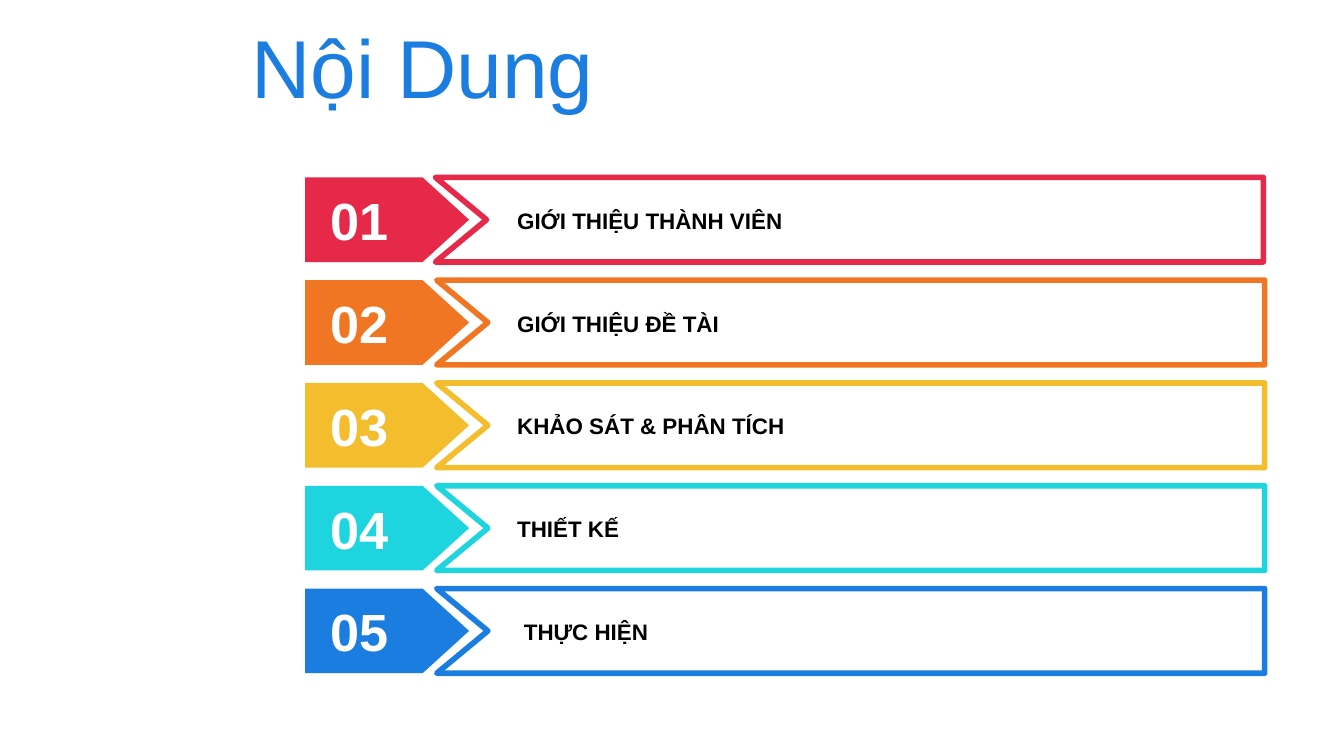
import pptx
import pptx.dml.color
import pptx.enum.shapes
import pptx.enum.text
import pptx.util

WIDTH = 10
HEIGHT = WIDTH * 9 / 16
FIRST_TOP, LAST_TOP, ROW_HEIGHT = 1.32, 4.38, 0.63
ROW_LEFT, ROW_WIDTH = 2.27, 7.14
AGENDA = [
    ("GIỚI THIỆU THÀNH VIÊN", "E62949", -0.01, 0),
    ("GIỚI THIỆU ĐỀ TÀI", "F07624", 0, 0),
    ("KHẢO SÁT & PHÂN TÍCH", "F4BD2D", 0, 0),
    ("THIẾT KẾ", "1ED4DE", 0, 0),
    ("THỰC HIỆN", "1C7DE1", 0, 0.05),
]


def inches(*lengths):
    """Turn lengths in inches into slide units."""
    return [pptx.util.Inches(length) for length in lengths]


def colour(value):
    """Turn a hex string into a colour."""
    return pptx.dml.color.RGBColor.from_string(value)


def write(box, text, size, ink, bold=False, margin=0.05):
    """Put one formatted, left-aligned line of text in a box."""
    frame = box.text_frame
    frame.word_wrap = True
    frame.auto_size = pptx.enum.text.MSO_AUTO_SIZE.NONE
    frame.vertical_anchor = pptx.enum.text.MSO_ANCHOR.MIDDLE
    frame.margin_left, frame.margin_right = inches(0.1, 0.1)
    frame.margin_top, frame.margin_bottom = inches(margin, margin)
    para = frame.paragraphs[0]
    para.alignment = pptx.enum.text.PP_ALIGN.LEFT
    span = para.add_run()
    span.text = text
    span.font.name = "Arial"
    span.font.size = pptx.util.Pt(size)
    span.font.bold = bold
    span.font.color.rgb = colour(ink)


def add_title(page, left, top, width, height):
    """Place the slide title in the given box."""
    title = page.shapes.title
    title.left, title.top, title.width, title.height = inches(left, top, width, height)
    write(title, "Nội Dung", 44, "1C7DE1")


def add_row(page, left, top, width, height, number, label, tint, frame_shift, label_shift):
    """Place one agenda row: numbered arrow, notched frame and label."""
    arrow = page.shapes.add_shape(
        pptx.enum.shapes.MSO_SHAPE.PENTAGON, *inches(left, top, 1.22, height))
    arrow.adjustments[0] = 0.549
    arrow.shadow.inherit = False
    arrow.fill.solid()
    arrow.fill.fore_color.rgb = colour(tint)
    arrow.line.fill.background()

    start, end = left + 0.98 + frame_shift, left + width + frame_shift
    bottom = top + height
    outline = page.shapes.build_freeform(*inches(start, top), scale=1.0)
    corners = [(end, top), (end, bottom), (start, bottom), (start + 0.38, top + height / 2)]
    outline.add_line_segments([inches(*corner) for corner in corners], close=True)
    notched = outline.convert_to_shape()
    notched.shadow.inherit = False
    notched.fill.solid()
    notched.fill.fore_color.rgb = colour("FFFFFF")
    notched.line.color.rgb = colour(tint)
    notched.line.width = pptx.util.Pt(3)

    number_box = page.shapes.add_textbox(*inches(left + 0.09, top + 0.08, 0.66, 0.47))
    write(number_box, f"{number:02d}", 28, "FFFFFF", bold=True, margin=0)
    label_box = page.shapes.add_textbox(*inches(left + 1.48 + label_shift, top + 0.17, 5.3, 0.3))
    write(label_box, label, 12, "000000", bold=True)


def main():
    """Build the agenda slide and save it."""
    deck = pptx.Presentation()
    deck.slide_width, deck.slide_height = inches(WIDTH, HEIGHT)
    page = deck.slides.add_slide(deck.slide_layouts.get_by_name("Title Only"))
    add_title(page, 1.77, 0, WIDTH - 1.77, 0.97)
    row_step = (LAST_TOP - FIRST_TOP) / (len(AGENDA) - 1)
    for index, item in enumerate(AGENDA):
        top = FIRST_TOP + index * row_step
        add_row(page, ROW_LEFT, top, ROW_WIDTH, ROW_HEIGHT, index + 1, *item)
    deck.save("out.pptx")


if __name__ == "__main__":
    main()
